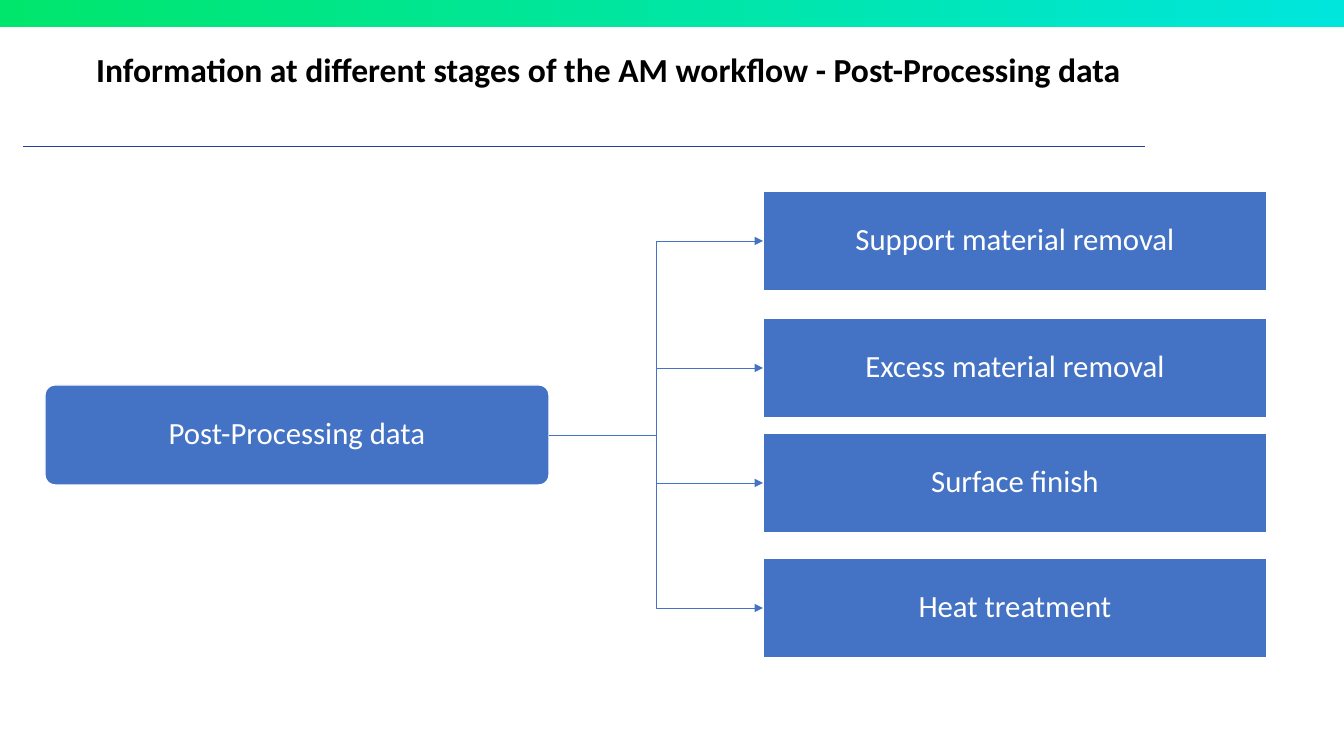
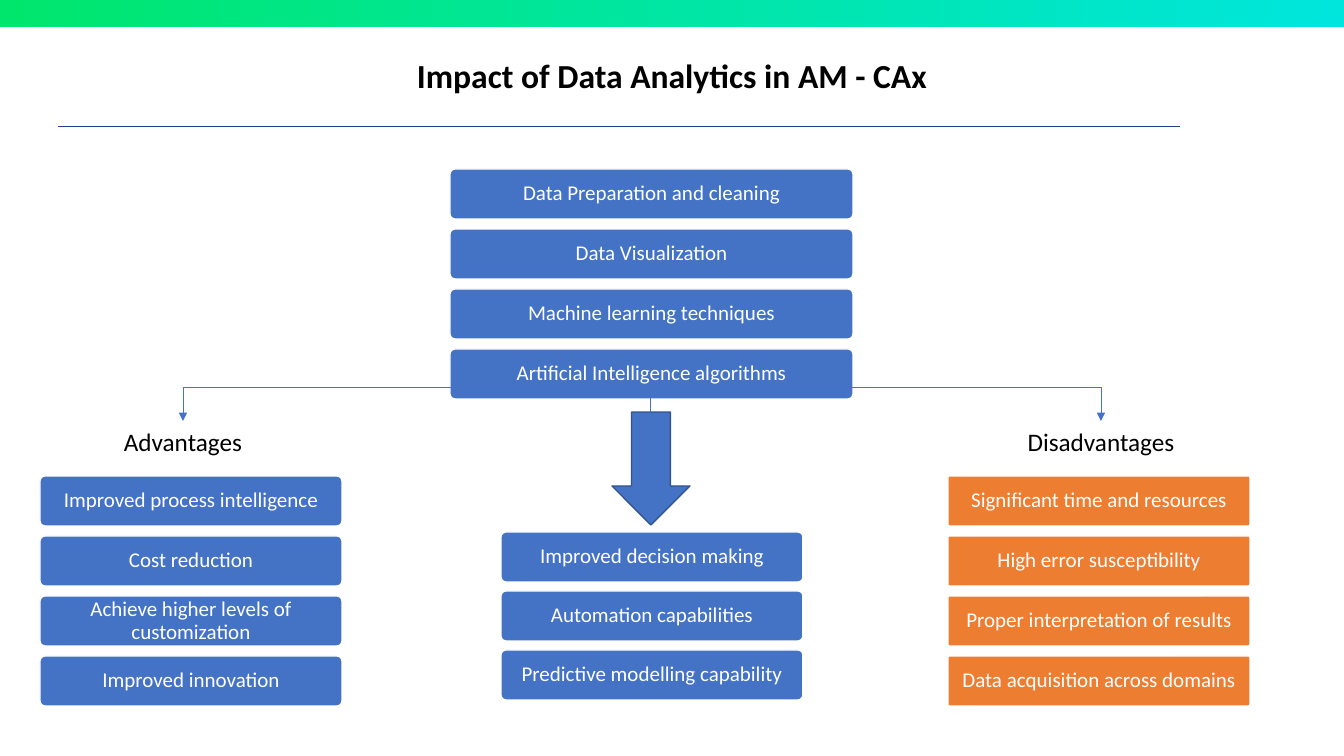
from lxml.etree import SubElement
from pptx import Presentation
from pptx.dml.color import RGBColor
from pptx.enum.shapes import MSO_CONNECTOR as CONN, MSO_SHAPE as SHAPE
from pptx.enum.text import MSO_ANCHOR as ANCHOR, MSO_AUTO_SIZE as AUTOSIZE, PP_ALIGN as ALIGN
from pptx.oxml.ns import qn
from pptx.util import Emu, Pt

SLIDE_W, SLIDE_H = 1344, 756
SCALE = 12192000 / SLIDE_W
FONT = "Calibri"
COLORS = {
    "band_start": "00E66C",
    "band_end": "00E6DC",
    "rule": "234198",
    "blue": "4472C4",
    "blue_edge": "325491",
    "orange": "ED7D31",
    "white": "FFFFFF",
    "black": "000000",
}


def px(n):
    return Emu(round(n * SCALE))


def rgb(name):
    return RGBColor.from_string(COLORS[name])


def write(tf, text, size, color, bold=False, spacing=1.0):
    tf.word_wrap = True
    tf.auto_size = AUTOSIZE.NONE
    p = tf.paragraphs[0]
    p.alignment = ALIGN.CENTER
    p.line_spacing = spacing
    r = p.add_run()
    r.text = text
    r.font.name = FONT
    r.font.size = Pt(size)
    r.font.bold = bold
    r.font.color.rgb = rgb(color)


def add_block(s, kind, box, fill, edge="white"):
    sp = s.shapes.add_shape(kind, *map(px, box))
    sp.shadow.inherit = False
    sp.fill.solid()
    sp.fill.fore_color.rgb = rgb(fill)
    sp.line.color.rgb = rgb(edge)
    sp.line.width = Pt(1)
    return sp


def add_card(s, box, text, size, fill="blue", radius=0.1, inset=6):
    kind = SHAPE.ROUNDED_RECTANGLE if radius else SHAPE.RECTANGLE
    sp = add_block(s, kind, box, fill)
    if radius:
        sp.adjustments[0] = radius
    tf = sp.text_frame
    tf.margin_left = tf.margin_right = tf.margin_top = tf.margin_bottom = px(inset)
    tf.vertical_anchor = ANCHOR.MIDDLE
    write(tf, text, size, "white", spacing=0.9)
    return sp


def add_stack(s, box, texts, fill="blue", radius=0.1, card_h=50):
    x, y, w, h = box
    pitch = (h - card_h) / (len(texts) - 1)
    for i, text in enumerate(texts):
        add_card(s, (x, y + i * pitch, w, card_h), text, 15, fill, radius)


def add_line(s, kind, start, end, color, arrow=False):
    cn = s.shapes.add_connector(kind, *map(px, (*start, *end)))
    cn.line.color.rgb = rgb(color)
    cn.line.width = Pt(0.5)
    sp_pr = cn._element.spPr
    if arrow:
        SubElement(sp_pr.find(qn("a:ln")), qn("a:tailEnd"), type="triangle")
    SubElement(sp_pr, qn("a:effectLst"))
    return cn


def add_raised_elbow(s, start, end, rise):
    (x1, y1), (x2, y2) = start, end
    cx, cy = (x1 + x2) / 2, (y1 + y2) / 2
    half_w, half_h = (y2 - y1) / 2, (x2 - x1) / 2
    cn = add_line(s, CONN.ELBOW, (cx + half_w, cy - half_h),
                  (cx - half_w, cy + half_h), "blue", arrow=True)
    sp_pr = cn._element.spPr
    sp_pr.find(qn("a:xfrm")).set("rot", "16200000")
    geom = sp_pr.find(qn("a:prstGeom"))
    av = geom.find(qn("a:avLst"))
    if av is None:
        av = SubElement(geom, qn("a:avLst"))
    adjust = round(-rise / (y2 - y1) * 100000)
    SubElement(av, qn("a:gd"), name="adj1", fmla=f"val {adjust}")


def add_label(s, box, text):
    tf = s.shapes.add_textbox(*map(px, box)).text_frame
    write(tf, text, 18, "black")


def new_slide(prs, title, title_box, rule_start):
    s = prs.slides.add_slide(prs.slide_layouts[5])
    band = s.shapes.add_shape(SHAPE.RECTANGLE, 0, 0, px(SLIDE_W), px(27))
    band.shadow.inherit = False
    band.line.fill.background()
    band.fill.gradient()
    band.fill.gradient_angle = 0
    for stop, name in zip(band.fill.gradient_stops, ("band_start", "band_end")):
        stop.color.rgb = rgb(name)
    x, y = rule_start
    add_line(s, CONN.STRAIGHT, rule_start, (x + 1122, y), "rule")
    sp = s.shapes.title
    sp.left, sp.top, sp.width, sp.height = map(px, title_box)
    sp.text_frame.vertical_anchor = ANCHOR.TOP
    write(sp.text_frame, title, 24, "black", bold=True)
    return s


def add_branches(s, box, root_text, branches):
    x, y, w, h = box
    card_w, card_h = 504, 100
    root = add_card(s, (x, y + 194, card_w, card_h), root_text, 22)
    for text, offset in branches:
        leaf_box = (x + w - card_w, y + offset, card_w, card_h)
        leaf = add_card(s, leaf_box, text, 22, radius=0, inset=12)
        cn = add_line(s, CONN.ELBOW, (x + card_w, y + 244),
                      (leaf_box[0], leaf_box[1] + card_h / 2), "blue", arrow=True)
        cn.begin_connect(root, 3)
        cn.end_connect(leaf, 1)


def add_impact(s, box, methods, outcomes, pros, cons):
    x, y, w, h = box
    add_stack(s, (x + 410, y, 403, 230), methods)
    add_stack(s, (x + 461, y + 363, 302, 168), outcomes)
    add_stack(s, (x, y + 307, 302, 230), pros)
    add_stack(s, (x + w - 302, y + 307, 302, 230), cons, "orange", 0.03)
    add_block(s, SHAPE.DOWN_ARROW, (x + 572, y + 243, 78, 113), "blue", "blue_edge")
    for text, left in (("Advantages", x + 36), ("Disadvantages", x + 954)):
        add_label(s, (left, y + 252, 214, 40), text)
        add_raised_elbow(s, (x + 610, y + 243), (left + 107, y + 252), 25)


def main():
    prs = Presentation()
    prs.slide_width, prs.slide_height = px(SLIDE_W), px(SLIDE_H)

    s = new_slide(prs, "Information at different stages of the AM workflow - Post-Processing data",
                  (48, 44, 1121, 92), (23, 146))
    add_branches(s, (45, 191, 1222, 466), "Post-Processing data", [
        ("Support material removal", 0),
        ("Excess material removal", 127),
        ("Surface finish", 242),
        ("Heat treatment", 367),
    ])

    s = new_slide(prs, "Impact of Data Analytics in AM - CAx", (195, 50, 954, 50), (58, 126))
    add_impact(
        s, (40, 169, 1210, 537),
        methods=["Data Preparation and cleaning", "Data Visualization",
                 "Machine learning techniques", "Artificial Intelligence algorithms"],
        outcomes=["Improved decision making", "Automation capabilities",
                  "Predictive modelling capability"],
        pros=["Improved process intelligence", "Cost reduction",
              "Achieve higher levels of customization", "Improved innovation"],
        cons=["Significant time and resources", "High error susceptibility",
              "Proper interpretation of results", "Data acquisition across domains"],
    )
    prs.save("out.pptx")


if __name__ == "__main__":
    main()
